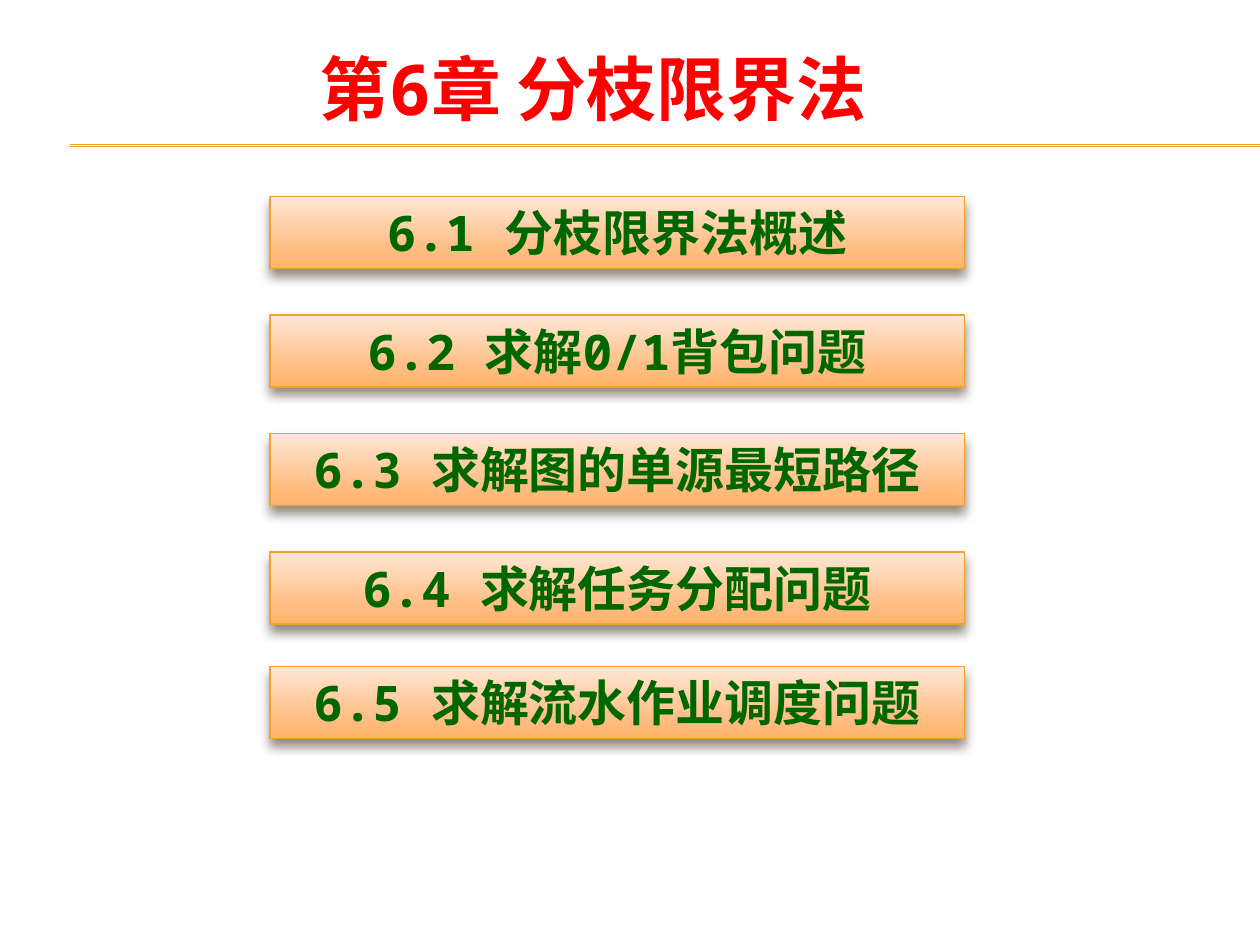
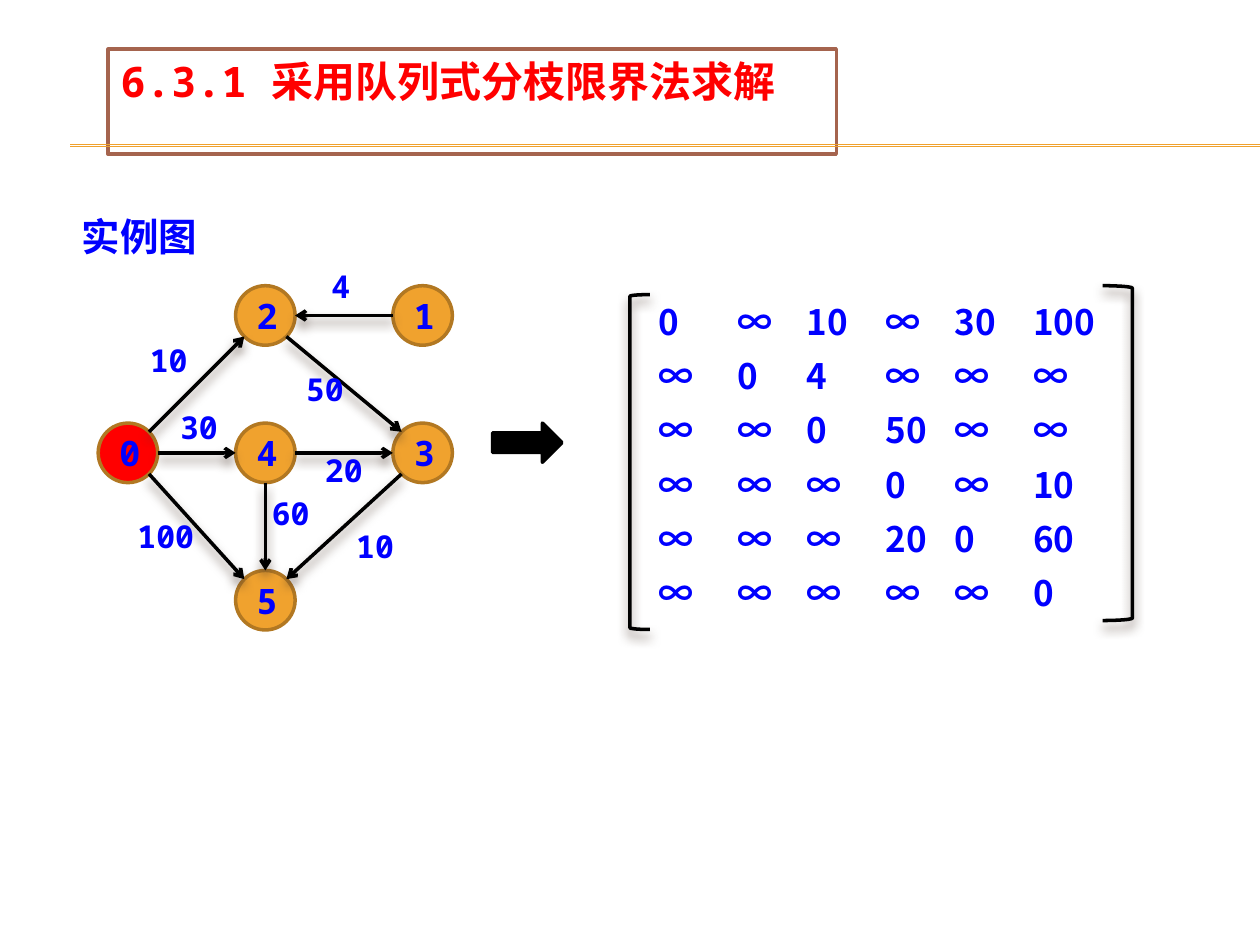
"""Build two slides: a chapter outline and a weighted graph with its matrix."""
from dataclasses import dataclass
from math import copysign, hypot

from pptx import Presentation
from pptx.dml.color import RGBColor
from pptx.enum.shapes import MSO_CONNECTOR, MSO_SHAPE
from pptx.enum.text import MSO_ANCHOR, MSO_AUTO_SIZE, PP_ALIGN
from pptx.oxml import parse_xml
from pptx.oxml.ns import nsdecls, qn
from pptx.util import Cm, Pt

RECT, OVAL = MSO_SHAPE.RECTANGLE, MSO_SHAPE.OVAL
ARROW = MSO_SHAPE.RIGHT_ARROW
OPEN, CLOSE = MSO_SHAPE.LEFT_BRACKET, MSO_SHAPE.RIGHT_BRACKET
STRAIGHT = MSO_CONNECTOR.STRAIGHT
TOP, MIDDLE = MSO_ANCHOR.TOP, MSO_ANCHOR.MIDDLE
LEFT, CENTER = PP_ALIGN.LEFT, PP_ALIGN.CENTER
GROW, FIXED = MSO_AUTO_SIZE.SHAPE_TO_FIT_TEXT, MSO_AUTO_SIZE.NONE

RED = RGBColor(0xFF, 0x00, 0x00)
BLUE = RGBColor(0x00, 0x00, 0xFF)
GREEN = RGBColor(0x00, 0x66, 0x00)
BLACK = RGBColor(0x00, 0x00, 0x00)
WHITE = RGBColor(0xFF, 0xFF, 0xFF)
GOLD = RGBColor(0xF0, 0xA2, 0x2E)
OCHRE = RGBColor(0xB2, 0x78, 0x22)
BROWN = RGBColor(0xA5, 0x64, 0x4E)
SHADE = RGBColor(0x4E, 0x3B, 0x30)
GLOW = ((0, RGBColor(0xFF, 0xE7, 0xD7)), (72, RGBColor(0xFF, 0xBE, 0x84)),
        (100, RGBColor(0xFF, 0xB4, 0x68)))

MONO, SANS = "Noto Sans Mono", "Noto Sans CJK SC"
NODE = 1.2      # node diameter, cm


@dataclass(frozen=True)
class Box:
    """A place on the slide, in centimetres."""
    x: float
    y: float
    w: float
    h: float

    def cm(self) -> tuple:
        """Return left, top, width and height as lengths."""
        return Cm(self.x), Cm(self.y), Cm(self.w), Cm(self.h)


@dataclass(frozen=True)
class Style:
    """How a piece of text looks."""
    size: float
    color: RGBColor
    font: str = MONO
    align: PP_ALIGN = LEFT


@dataclass(frozen=True)
class Node:
    """A graph node, placed by its centre in centimetres."""
    x: float
    y: float
    fill: RGBColor = GOLD


@dataclass(frozen=True)
class Edge:
    """A weighted arrow and the corner of its label."""
    start: int
    end: int
    cost: str
    x: float
    y: float


HEAD = Style(40, RED, align=CENTER)
SUB = Style(24, RED)
ITEM = Style(28, GREEN, align=CENTER)
NAME = Style(20, BLUE, align=CENTER)
COST = Style(18, BLUE)
CELL = Style(20, BLUE, SANS)
NOTE = Style(22, BLUE)

ITEMS = (("6.1 分枝限界法概述", 3.96), ("6.2 求解0/1背包问题", 6.35),
         ("6.3 求解图的单源最短路径", 8.74), ("6.4 求解任务分配问题", 11.13),
         ("6.5 求解流水作业调度问题", 13.44))
COLS, ROWS = (2.58, 5.35, 8.52), (6.36, 9.13, 12.1)
NODES = (Node(COLS[0], ROWS[1], RED), Node(COLS[2], ROWS[0]),
         Node(COLS[1], ROWS[0]), Node(COLS[2], ROWS[1]),
         Node(COLS[1], ROWS[1]), Node(COLS[1], ROWS[2]))
EDGES = (Edge(0, 2, "10", 2.77, 6.76), Edge(0, 5, "100", 2.77, 10.29),
         Edge(0, 4, "30", 3.38, 8.1), Edge(2, 3, "50", 5.92, 7.34),
         Edge(4, 3, "20", 6.3, 8.97), Edge(3, 5, "10", 6.93, 10.49),
         Edge(1, 2, "4", 6.43, 5.26), Edge(4, 5, "60", 5.23, 9.83))
MATRIX = ("0 ∞ 10 ∞ 30 100", "∞ 0 4 ∞ ∞ ∞", "∞ ∞ 0 50 ∞ ∞",
          "∞ ∞ ∞ 0 ∞ 10", "∞ ∞ ∞ 20 0 60", "∞ ∞ ∞ ∞ ∞ 0")


def write(shape, text: str, style: Style, anchor=TOP, fit=GROW) -> None:
    """Put one styled run into a shape."""
    frame = shape.text_frame
    frame.word_wrap = True
    frame.auto_size = fit
    frame.vertical_anchor = anchor
    para = frame.paragraphs[0]
    para.alignment = style.align
    run = para.add_run()
    run.text = text
    font = run.font
    font.size, font.bold, font.name = Pt(style.size), True, style.font
    font.color.rgb = style.color
    font._element.find(qn("a:latin")).addnext(
        parse_xml(f'<a:ea {nsdecls("a")} typeface="{SANS}"/>'))


def label(shapes, text: str, box: Box, style: Style, flush: bool = False):
    """Add a text box, flush to its sides if asked."""
    shape = shapes.add_textbox(*box.cm())
    if flush:
        shape.text_frame.margin_left = shape.text_frame.margin_right = 0
    write(shape, text, style)


def stroke(shape, color: RGBColor, width: float) -> None:
    """Set the line of a shape or connector."""
    shape.line.color.rgb = color
    shape.line.width = Pt(width)


def shadow(shape, cast: bool) -> None:
    """Give a soft shadow below, or none; call it after the line is set."""
    drop = (f'<a:outerShdw blurRad="{Pt(6)}" dist="{Pt(4)}" dir="5400000" '
            f'rotWithShape="0"><a:srgbClr val="{SHADE}"><a:alpha val="60000"/>'
            '</a:srgbClr></a:outerShdw>') if cast else ""
    shape._element.spPr.append(
        parse_xml(f'<a:effectLst {nsdecls("a")}>{drop}</a:effectLst>'))


def form(shapes, kind, box: Box, fill, line: RGBColor, width: float,
         cast: bool = False):
    """Add a preset shape; a fill of None leaves it open."""
    shape = shapes.add_shape(kind, *box.cm())
    if fill is None:
        shape.fill.background()
    else:
        shape.fill.solid()
        shape.fill.fore_color.rgb = fill
    stroke(shape, line, width)
    shadow(shape, cast)
    return shape


def blend(shape) -> None:
    """Swap a solid fill for the downward glow."""
    stops = "".join(f'<a:gs pos="{pos * 1000}"><a:srgbClr val="{color}"/></a:gs>'
                    for pos, color in GLOW)
    props = shape._element.spPr
    props.replace(props.find(qn("a:solidFill")), parse_xml(
        f'<a:gradFill {nsdecls("a")} rotWithShape="1"><a:gsLst>{stops}</a:gsLst>'
        '<a:lin ang="5400000" scaled="0"/></a:gradFill>'))


def link(shapes, start: tuple, end: tuple, color: RGBColor, width: float,
         arrow: bool = False) -> None:
    """Draw a straight line, or a shadowed arrow."""
    line = shapes.add_connector(STRAIGHT, *(Cm(v) for v in start + end))
    stroke(line, color, width)
    if arrow:
        line.line._get_or_add_ln().append(
            parse_xml(f'<a:tailEnd {nsdecls("a")} type="arrow"/>'))
    shadow(line, arrow)


def page(deck, text: str, box: Box, style: Style):
    """Add a slide with its title and the double rule."""
    slide = deck.slides.add_slide(deck.slide_layouts[5])
    title = slide.shapes.title
    title.left, title.top, title.width, title.height = box.cm()
    write(title, text, style)
    for y in (2.92, 2.95):
        link(slide.shapes, (1.42, y), (25.4, y), GOLD, 0.75)
    return slide


def rim(node: Node, other: Node) -> tuple:
    """Return the point, of eight on the rim, that faces another node."""
    dx, dy = (copysign(1, d) if d else 0
              for d in (other.x - node.x, other.y - node.y))
    scale = NODE / 2 / hypot(dx, dy)
    return node.x + dx * scale, node.y + dy * scale


def graph(shapes) -> None:
    """Draw the nodes, the arrows and their costs."""
    for name, node in enumerate(NODES):
        box = Box(node.x - NODE / 2, node.y - NODE / 2, NODE, NODE)
        shape = form(shapes, OVAL, box, node.fill, OCHRE, 2)
        write(shape, str(name), NAME, MIDDLE, FIXED)
    for edge in EDGES:
        start, end = NODES[edge.start], NODES[edge.end]
        link(shapes, rim(start, end), rim(end, start), BLACK, 2, True)
    for edge in EDGES:
        label(shapes, edge.cost, Box(edge.x, edge.y, 1.4, 1.02), COST,
              len(edge.cost) > 2)


def matrix(shapes) -> None:
    """Draw the bracketed cost matrix as one group."""
    group = shapes.add_group_shape().shapes
    for row, line in enumerate(MATRIX):
        for col, text in enumerate(line.split()):
            pair, odd = divmod(col, 2)
            box = Box(13.28 + pair * 2.98 + odd * 1.59, 5.94 + row * 1.09,
                      1.4, 1.11)
            label(group, text, box, CELL, True)
    form(group, OPEN, Box(12.7, 5.94, 0.4, 6.75), None, BLACK, 2, True)
    form(group, CLOSE, Box(22.23, 5.76, 0.6, 6.75), None, BLACK, 2, True)


def outline(deck) -> None:
    """Build the chapter outline."""
    slide = page(deck, "第6章 分枝限界法", Box(5.36, 0.79, 13.18, 1.96), HEAD)
    for text, y in ITEMS:
        bar = form(slide.shapes, RECT, Box(5.44, y, 14, 1.45), WHITE, GOLD,
                   0.79, True)
        blend(bar)
        write(bar, text, ITEM)


def example(deck) -> None:
    """Build the graph and matrix slide."""
    slide = page(deck, "6.3.1 采用队列式分枝限界法求解",
                 Box(2.18, 0.99, 14.68, 1.27), SUB)
    title = slide.shapes.title
    title.fill.solid()
    title.fill.fore_color.rgb = WHITE
    stroke(title, BROWN, 2)
    graph(slide.shapes)
    matrix(slide.shapes)
    form(slide.shapes, ARROW, Box(9.93, 8.53, 1.4, 0.79), BLACK, BLACK, 2)
    label(slide.shapes, "实例图", Box(1.4, 4.17, 3.58, 1.19), NOTE)


def main() -> None:
    """Build and save the deck."""
    deck = Presentation()
    deck.slide_width, deck.slide_height = Cm(25.4), Cm(19.05)
    outline(deck)
    example(deck)
    deck.save("out.pptx")


main()
